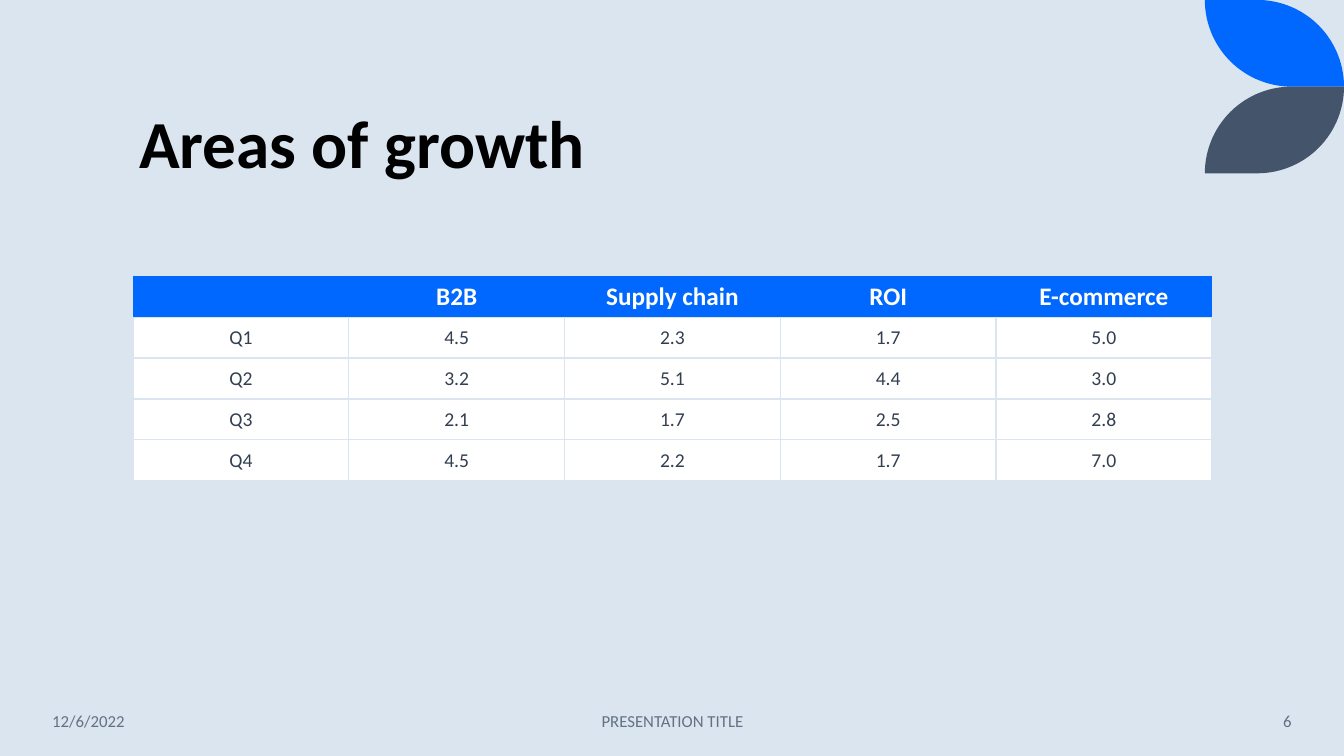
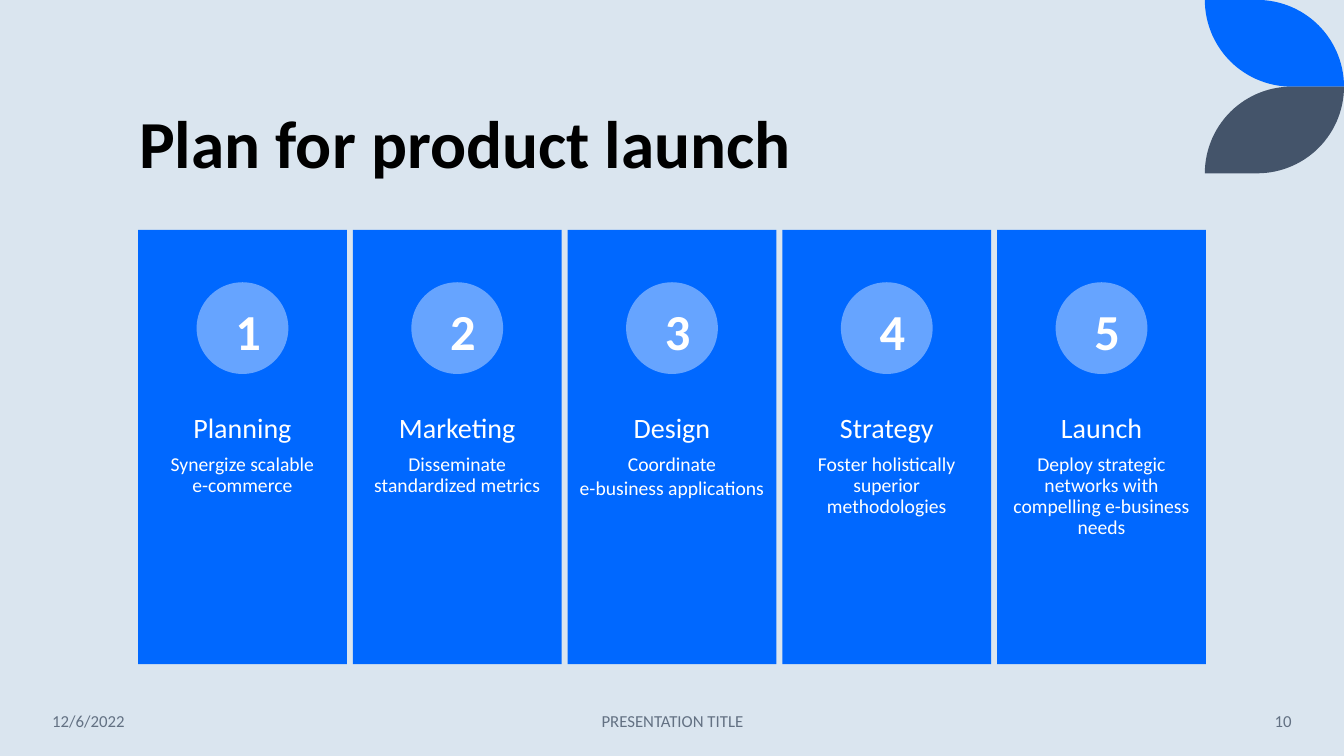
"""Build the growth table and product launch slides."""
from dataclasses import dataclass
from math import cos, radians, sin

from lxml.etree import SubElement
from pptx import Presentation
from pptx.dml.color import RGBColor
from pptx.enum.shapes import MSO_SHAPE
from pptx.enum.text import MSO_ANCHOR, MSO_AUTO_SIZE, PP_ALIGN
from pptx.oxml.ns import qn
from pptx.util import Inches, Pt


@dataclass(frozen=True)
class Theme:
    font: str = "Calibri"
    background: str = "DAE5EF"
    accent: str = "0068FF"
    slate: str = "44546A"
    badge: str = "66A4FF"
    title: str = "000000"
    light: str = "FFFFFF"
    cell: str = "333F50"
    footer: str = "637183"
    title_size: int = 48
    number_size: int = 36
    heading_size: int = 20
    header_size: int = 18
    body_size: int = 14
    footer_size: int = 12


THEME = Theme()
WIDTH, HEIGHT = 13.33, 7.5
LEAF_WIDTH, LEAF_HEIGHT = 1.38, 0.86
TITLE_BOX = (1.28, 0.42, 10.69, 1.45)
TABLE_BOX = (1.32, 2.74, 10.7, 2.03)
CARD_LEFT, CARD_TOP, CARD_WIDTH, CARD_HEIGHT, CARD_GAP = 1.37, 2.28, 2.07, 4.31, 0.06
BADGE_SIZE = 0.91

GROWTH = [
    ("", "B2B", "Supply chain", "ROI", "E-commerce"),
    ("Q1", "4.5", "2.3", "1.7", "5.0"),
    ("Q2", "3.2", "5.1", "4.4", "3.0"),
    ("Q3", "2.1", "1.7", "2.5", "2.8"),
    ("Q4", "4.5", "2.2", "1.7", "7.0"),
]
STAGES = [
    ("Planning", ["Synergize scalable\ve-commerce"]),
    ("Marketing", ["Disseminate standardized metrics"]),
    ("Design", ["Coordinate", "e-business applications"]),
    ("Strategy", ["Foster holistically superior methodologies"]),
    ("Launch", ["Deploy strategic networks with compelling e-business needs"]),
]
FOOTERS = [
    ("12/6/2022", 0.42, 1.86, PP_ALIGN.LEFT),
    ("PRESENTATION TITLE", 4.42, 4.5, PP_ALIGN.CENTER),
    ("{page}", 11.1, 1.81, PP_ALIGN.RIGHT),
]


def inches(*lengths):
    return [Inches(length) for length in lengths]


def style(paragraph, size, color, align=PP_ALIGN.CENTER, bold=False):
    paragraph.alignment = align
    font = paragraph.font
    font.name, font.size, font.bold = THEME.font, Pt(size), bold
    font.color.rgb = RGBColor.from_string(color)


def paint(shape, color):
    shape.fill.solid()
    shape.fill.fore_color.rgb = RGBColor.from_string(color)
    shape.line.fill.background()
    shape.shadow.inherit = False


def add_block(slide, preset, box, color):
    paint(slide.shapes.add_shape(preset, *inches(*box)), color)


def add_text(slide, box, margin=None):
    frame = slide.shapes.add_textbox(*inches(*box)).text_frame
    frame.word_wrap = True
    if margin is not None:
        frame.margin_left = frame.margin_right = Inches(margin)
        frame.margin_top = frame.margin_bottom = Inches(margin)
    return frame


def leaf_outline(flipped):
    radius = LEAF_HEIGHT
    arcs = [(LEAF_WIDTH - radius, radius, -90), (radius, 0, 90)]
    outline = [(0, 0)] + [
        (x + radius * cos(radians(start + turn)), y + radius * sin(radians(start + turn)))
        for x, y, start in arcs
        for turn in range(0, 91, 3)
    ]
    return [
        (WIDTH - LEAF_WIDTH + x, 2 * LEAF_HEIGHT - y if flipped else y) for x, y in outline
    ]


def add_leaf(slide, color, flipped):
    start, *rest = [tuple(inches(*point)) for point in leaf_outline(flipped)]
    builder = slide.shapes.build_freeform(*start)
    builder.add_line_segments(rest)
    paint(builder.convert_to_shape(), color)


def add_slide(deck, heading, page):
    slide = deck.slides.add_slide(deck.slide_layouts[5])
    add_leaf(slide, THEME.accent, False)
    add_leaf(slide, THEME.slate, True)

    title = slide.shapes.title
    title.left, title.top, title.width, title.height = inches(*TITLE_BOX)
    frame = title.text_frame
    frame.text = heading
    frame.vertical_anchor = MSO_ANCHOR.BOTTOM
    frame.auto_size = MSO_AUTO_SIZE.NONE
    frame.paragraphs[0].line_spacing = 0.9
    style(frame.paragraphs[0], THEME.title_size, THEME.title, PP_ALIGN.LEFT, True)

    for label, left, width, align in FOOTERS:
        footer = add_text(slide, (left, 6.95, width, 0.4))
        footer.text = label.format(page=page)
        footer.vertical_anchor = MSO_ANCHOR.MIDDLE
        style(footer.paragraphs[0], THEME.footer_size, THEME.footer, align)
    return slide


def set_borders(cell, side_color):
    properties = cell._tc.get_or_add_tcPr()
    colors = {"L": side_color, "R": side_color, "T": side_color, "B": THEME.background}
    for side, color in colors.items():
        line = SubElement(properties, qn(f"a:ln{side}"), w=str(Pt(1)))
        fill = SubElement(line, qn("a:solidFill"))
        SubElement(fill, qn("a:srgbClr"), val=color)


def add_growth_table(slide):
    rows, columns = len(GROWTH), len(GROWTH[0])
    table = slide.shapes.add_table(rows, columns, *inches(*TABLE_BOX)).table
    for row, values in enumerate(GROWTH):
        header = row == 0
        fill = THEME.accent if header else THEME.light
        size = THEME.header_size if header else THEME.body_size
        color = THEME.light if header else THEME.cell
        for column, value in enumerate(values):
            cell = table.cell(row, column)
            set_borders(cell, fill if header else THEME.background)
            cell.fill.solid()
            cell.fill.fore_color.rgb = RGBColor.from_string(fill)
            cell.vertical_anchor = MSO_ANCHOR.MIDDLE
            cell.text = value
            style(cell.text_frame.paragraphs[0], size, color, bold=header)


def add_stage(slide, index, heading, details):
    left = CARD_LEFT + index * (CARD_WIDTH + CARD_GAP)
    badge_left = left + (CARD_WIDTH - BADGE_SIZE) / 2
    card_box = (left, CARD_TOP, CARD_WIDTH, CARD_HEIGHT)
    add_block(slide, MSO_SHAPE.RECTANGLE, card_box, THEME.accent)
    badge_box = (badge_left, 2.8, BADGE_SIZE, BADGE_SIZE)
    add_block(slide, MSO_SHAPE.OVAL, badge_box, THEME.badge)

    summary = add_text(slide, (left, 4, CARD_WIDTH, 1.72), 0.11)
    summary.text = "\n".join([heading, *details])
    for position, paragraph in enumerate(summary.paragraphs):
        size, gap = (THEME.body_size, 2) if position else (THEME.heading_size, 7)
        style(paragraph, size, THEME.light)
        paragraph.line_spacing = 0.9
        paragraph.space_after = Pt(gap)

    number = add_text(slide, (left + 0.9, 2.98, 0.38, 0.61), 0)
    number.text = str(index + 1)
    style(number.paragraphs[0], THEME.number_size, THEME.light, bold=True)


def main():
    deck = Presentation()
    deck.slide_width, deck.slide_height = inches(WIDTH, HEIGHT)
    backdrop = deck.slide_master.background.fill
    backdrop.solid()
    backdrop.fore_color.rgb = RGBColor.from_string(THEME.background)

    add_growth_table(add_slide(deck, "Areas of growth", 6))
    launch = add_slide(deck, "Plan for product launch", 10)
    for index, (heading, details) in enumerate(STAGES):
        add_stage(launch, index, heading, details)
    deck.save("out.pptx")


if __name__ == "__main__":
    main()
